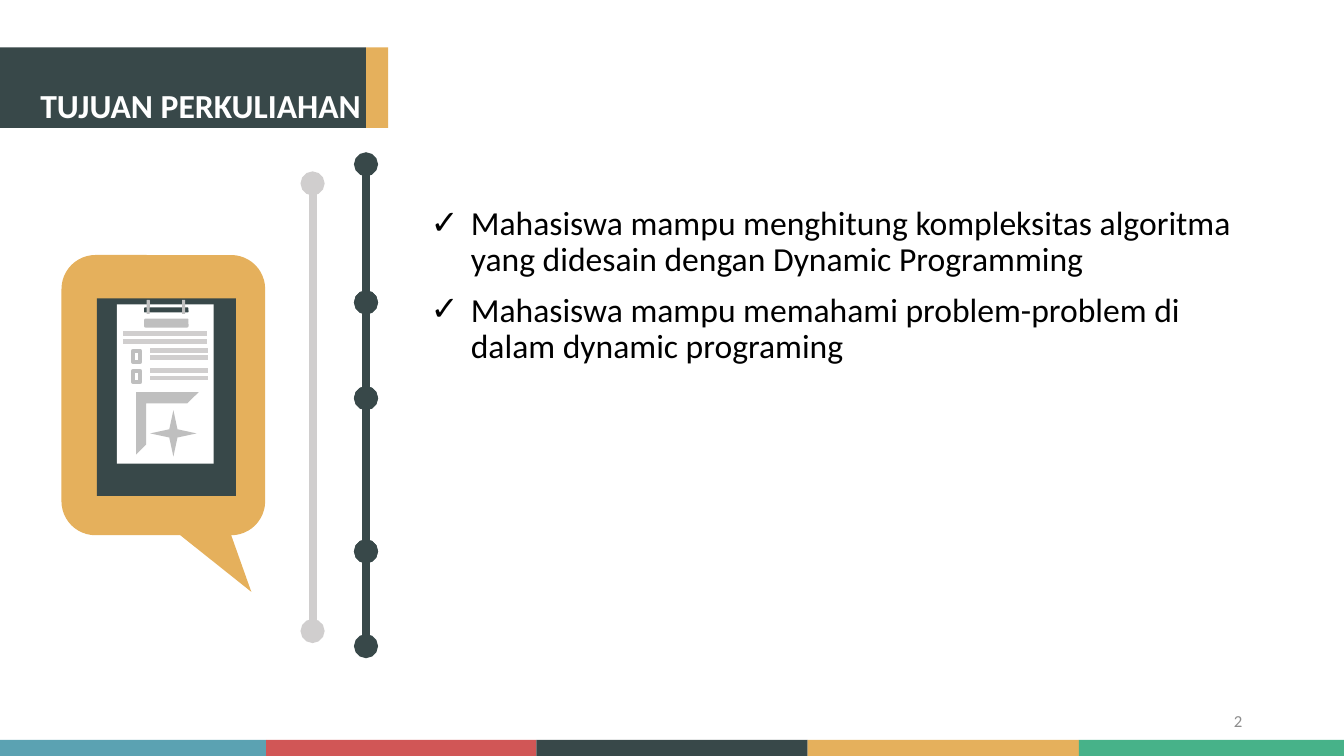
from itertools import pairwise

from lxml.etree import SubElement
from pptx import Presentation
from pptx.dml.color import RGBColor
from pptx.enum.shapes import MSO_CONNECTOR as Connector, MSO_SHAPE as Shape
from pptx.enum.text import MSO_ANCHOR as Anchor, MSO_AUTO_SIZE as AutoSize, PP_ALIGN as Align
from pptx.oxml.ns import qn
from pptx.util import Inches, Pt

COLORS = {
    "dark": "384849", "gold": "E5B05C", "teal": "5BA2B2", "red": "D15656",
    "green": "47B289", "white": "FFFFFF", "black": "000000",
    "pale": "D0CECE", "gray": "BFBFBF", "number": "8C8C8C",
}
GOALS = [
    "Mahasiswa mampu menghitung kompleksitas algoritma yang didesain dengan Dynamic Programming",
    "Mahasiswa mampu memahami problem-problem di dalam dynamic programing",
]


def rgb(name):
    """Return the named colour."""
    return RGBColor.from_string(COLORS[name])


def place(box, left, top, width, height):
    """Move and size a shape, in inches."""
    bounds = {"left": left, "top": top, "width": width, "height": height}
    for name, value in bounds.items():
        setattr(box, name, Inches(value))


def add_block(page, bounds, color, kind=Shape.RECTANGLE, adjust=(), turn=0, outline=None):
    """Add a filled preset shape, with a 3 point outline if a colour is given."""
    block = page.shapes.add_shape(kind, *map(Inches, bounds))
    block.shadow.inherit = False
    block.rotation = turn
    block.fill.solid()
    block.fill.fore_color.rgb = rgb(color)
    for index, value in enumerate(adjust):
        block.adjustments[index] = value
    if outline:
        block.line.color.rgb = rgb(outline)
        block.line.width = Pt(3)
    else:
        block.line.fill.background()


def add_line(page, start, end, color, width, dots=False):
    """Add a straight line, with round ends if wanted."""
    line = page.shapes.add_connector(Connector.STRAIGHT, *map(Inches, start + end))
    line.line.color.rgb = rgb(color)
    line.line.width = Pt(width)
    if dots:
        outline = line.line._get_or_add_ln()
        for tag in ("a:headEnd", "a:tailEnd"):
            SubElement(outline, qn(tag), type="oval")
    SubElement(line.element.spPr, qn("a:effectLst"))


def write(para, text, size, color, bold=False, align=Align.LEFT):
    """Write one formatted span into a paragraph."""
    para.alignment = align
    span = para.add_run()
    span.text = text
    formats = {"name": "Calibri", "size": Pt(size), "bold": bold}
    for name, value in formats.items():
        setattr(span.font, name, value)
    span.font.color.rgb = rgb(color)


def fill_goals(body):
    """Fill the body placeholder with the check-marked goals."""
    place(body, 4.17, 2, 8.24, 4.76)
    frame = body.text_frame
    for index, goal in enumerate(GOALS):
        para = frame.add_paragraph() if index else frame.paragraphs[0]
        write(para, goal, 24, "black")
        para.line_spacing = 0.9
        para.space_before = Pt(10)
        properties = para._p.get_or_add_pPr()
        properties.set("marL", str(Inches(0.4)))
        properties.set("indent", str(Inches(-0.4)))
        SubElement(properties, qn("a:buChar"), char="✓")


def fill_title(title):
    """Fill the title placeholder and bring it in front of its banner."""
    place(title, 0.3, 0.79, 3.44, 0.5)
    frame = title.text_frame
    frame.vertical_anchor = Anchor.TOP
    frame.auto_size = AutoSize.NONE
    write(frame.paragraphs[0], "TUJUAN PERKULIAHAN", 24, "white", bold=True)
    title.element.getparent().append(title.element)


def add_footer(page):
    """Add the colour strip along the bottom edge."""
    edges = pairwise([0, 2.64, 5.32, 8.01, 10.7, 13.33])
    for (left, right), color in zip(edges, ["teal", "red", "dark", "gold", "green"]):
        add_block(page, (left, 7.34, right - left, 0.16), color)


def add_clipboard(page):
    """Add the speech bubble with the clipboard and its sheet."""
    add_block(page, (0.61, 2.53, 2.02, 2.78), "gold",
              Shape.ROUNDED_RECTANGULAR_CALLOUT, (0.432, 0.702, 0.167))
    add_block(page, (0.96, 2.96, 1.38, 1.96), "dark")
    add_block(page, (1.16, 3.02, 0.96, 1.58), "white")
    for top in (3.31, 3.39):
        add_line(page, (2.05, top), (1.22, top), "pale", 3.5)
    for top in (3.48, 3.68):
        for row in (top, top + 0.07):
            add_line(page, (2.06, row), (1.49, row), "pale", 3.5)
        add_block(page, (1.32, top, 0.07, 0.11), "white", outline="gray")
    add_block(page, (1.43, 3.05, 0.44, 0.05), "dark", Shape.ROUNDED_RECTANGLE)
    for left in (1.4, 1.75):
        add_block(page, (left, 3.03, 0.14, 0.03), "gray", Shape.ROUNDED_RECTANGLE, turn=90)
    add_block(page, (1.43, 3.16, 0.44, 0.09), "gray", Shape.ROUNDED_RECTANGLE)
    add_block(page, (1.35, 3.89, 0.62, 0.62), "gray", Shape.HALF_FRAME, (0.181, 0.159))
    add_block(page, (1.49, 4.07, 0.46, 0.46), "gray", Shape.STAR_4_POINT)


def add_page_number(page):
    """Add the page number at the lower right."""
    box = page.shapes.add_textbox(*map(Inches, (9.42, 6.95, 3, 0.4)))
    box.text_frame.word_wrap = True
    box.text_frame.vertical_anchor = Anchor.MIDDLE
    write(box.text_frame.paragraphs[0], "2", 12, "number", align=Align.RIGHT)


def main():
    """Build the slide and save the deck."""
    deck = Presentation()
    deck.slide_width, deck.slide_height = Inches(13.33), Inches(7.5)
    page = deck.slides.add_slide(deck.slide_layouts[1])
    fill_goals(page.placeholders[1])
    add_footer(page)
    add_block(page, (3.63, 0.47, 0.22, 0.8), "gold")
    add_block(page, (0, 0.47, 3.63, 0.8), "dark")
    add_line(page, (3.1, 6.26), (3.1, 1.82), "pale", 5.75, dots=True)
    add_clipboard(page)
    for top, bottom in pairwise([1.63, 3, 3.95, 5.47, 6.41]):
        add_line(page, (3.63, top), (3.63, bottom), "dark", 5.75, dots=True)
    add_page_number(page)
    fill_title(page.shapes.title)
    deck.save("out.pptx")


if __name__ == "__main__":
    main()
